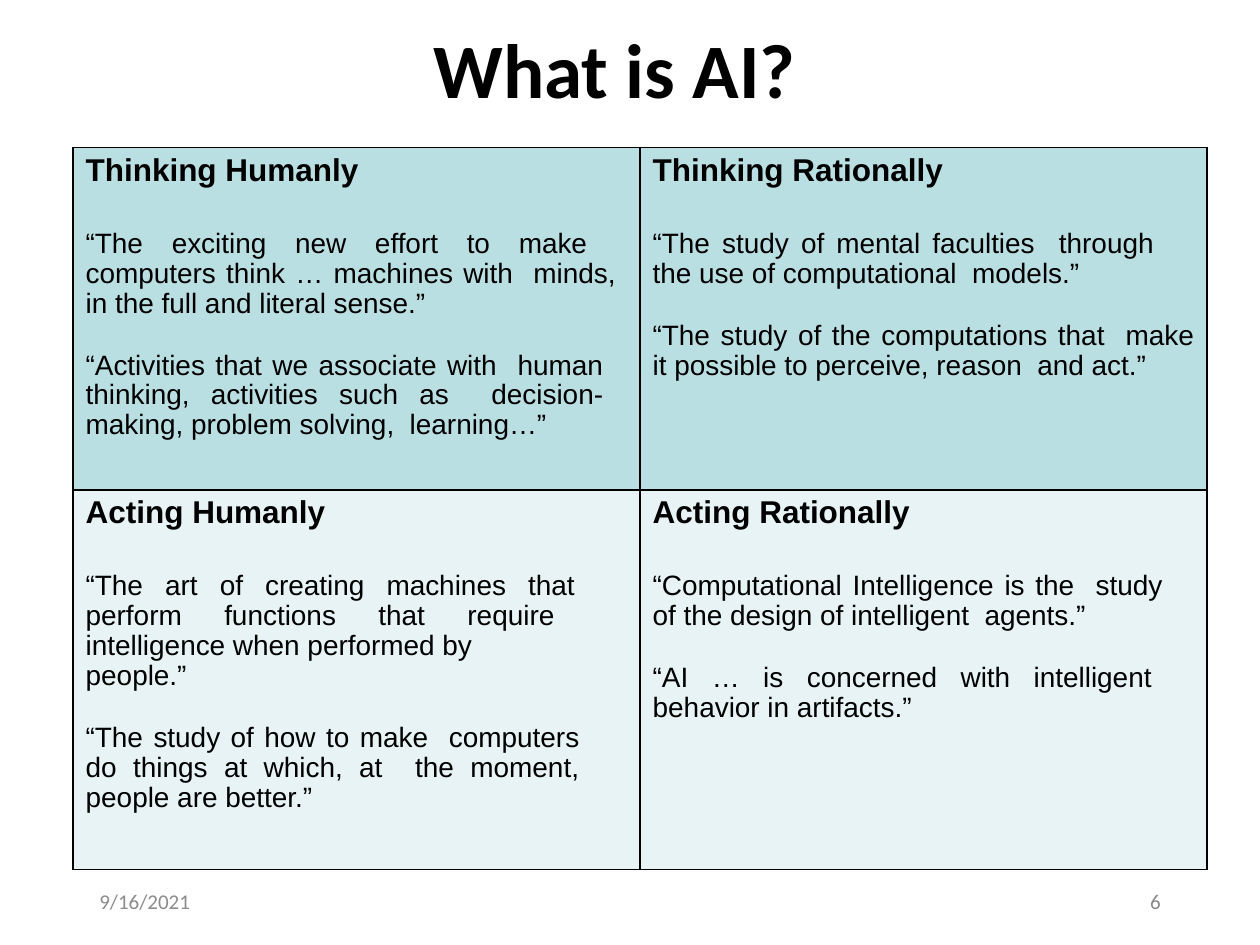
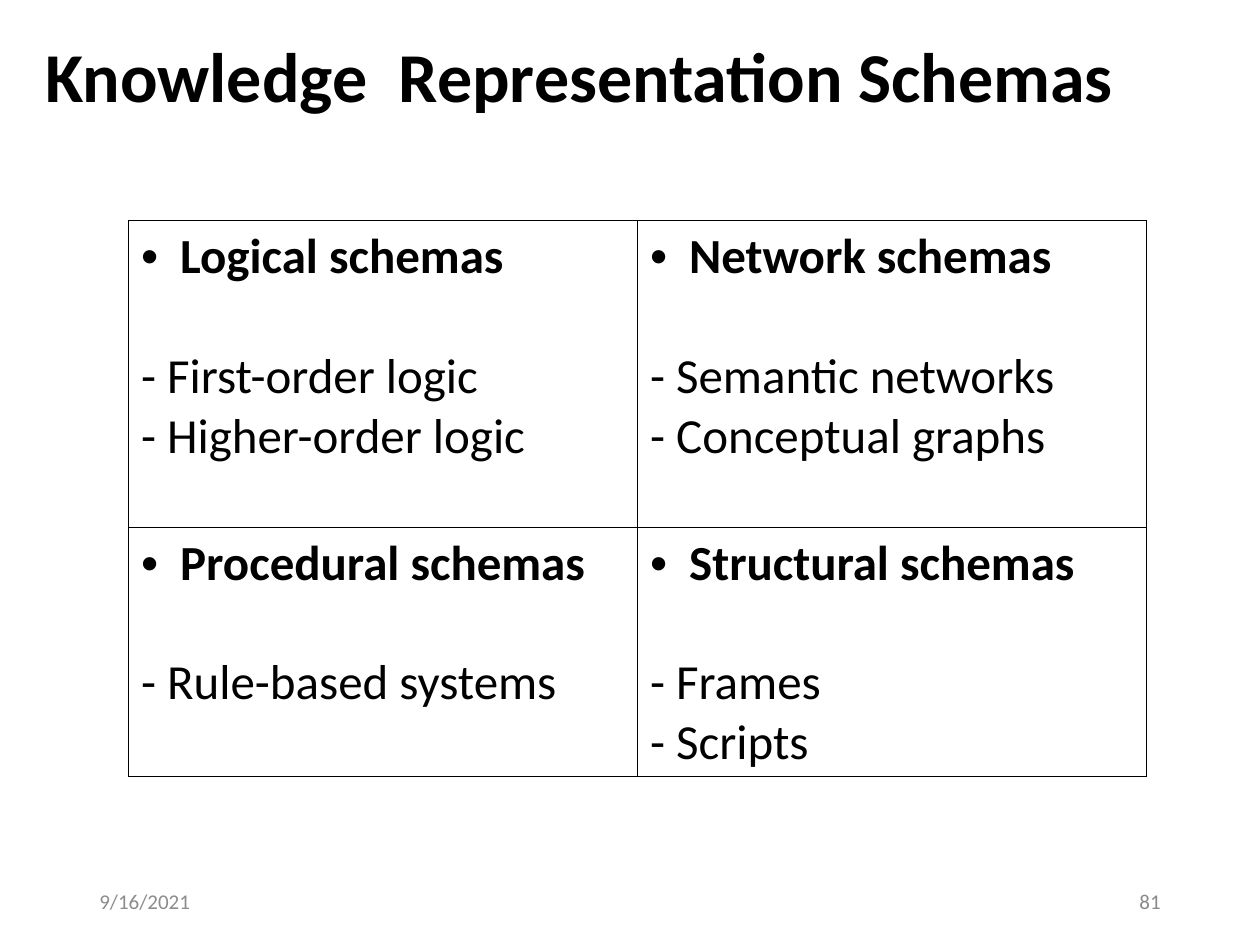
from dataclasses import dataclass
from typing import NamedTuple

from lxml import etree
from pptx import Presentation
from pptx.dml.color import RGBColor
from pptx.enum.text import MSO_ANCHOR, PP_ALIGN
from pptx.oxml.ns import qn
from pptx.util import Inches, Pt

LEFT, RIGHT, JUSTIFY = PP_ALIGN.LEFT, PP_ALIGN.RIGHT, PP_ALIGN.JUSTIFY
TOP, MIDDLE = MSO_ANCHOR.TOP, MSO_ANCHOR.MIDDLE

# The slide is a grid of 100 columns by 75 square rows
COLS, ROWS = 100, 75
WIDTH = Inches(10)
UNIT = WIDTH // COLS

BLACK, DATE_GREY, NUMBER_GREY = "000000", "8C8C8C", "898989"
THINKING_FILL, ACTING_FILL = "BADFE2", "E7F3F4"
BODY_FONT, DECK_FONT = "Arial", "Calibri"
DATE = "9/16/2021"


class Box(NamedTuple):
    x: float
    y: float
    w: float
    h: float


class Margins(NamedTuple):
    left: float = 1
    top: float = 0.5
    right: float = 1
    bottom: float = 0.5


class Quote(NamedTuple):
    text: str
    right: float  # right indent in columns
    before: float = 18.4


@dataclass
class Cell:
    heading: str
    body: list
    fill: str | None = None


DATE_BOX = Box(6.9, 69.5, 22.5, 4)
NUMBER_BOX = Box(70.6, 69.5, 22.5, 4)
TITLE_MARGINS = Margins(0, 0.1, 0, 0)
QUOTE_MARGINS = Margins(0, 0.4, 0, 0)
AFTER_HEADING = 23.8

APPROACHES = [
    [
        Cell("Thinking Humanly", [
            Quote("“The exciting new effort to make  computers think … machines with  minds, "
                  "in the full and literal sense.”", 1.9, AFTER_HEADING),
            Quote("“Activities that we associate with  human thinking, activities such as  "
                  "decision-making, problem solving,  learning…”", 2.9),
        ], THINKING_FILL),
        Cell("Thinking Rationally", [
            Quote("“The study of mental faculties  through the use of computational  models.”",
                  4.2, AFTER_HEADING),
            Quote("“The study of the computations that  make it possible to perceive, reason  "
                  "and act.”", 1),
        ], THINKING_FILL),
    ],
    [
        Cell("Acting Humanly", [
            Quote("“The art of creating machines that  perform functions that require  "
                  "intelligence when performed by", 3.4, AFTER_HEADING),
            Quote("people.”", 3.4, 0.1),
            Quote("“The study of how to make  computers do things at which, at  the moment, "
                  "people are better.”", 4.8),
        ], ACTING_FILL),
        Cell("Acting Rationally", [
            Quote("“Computational Intelligence is the  study of the design of intelligent  "
                  "agents.”", 3.5, AFTER_HEADING),
            Quote("“AI … is concerned with intelligent  behavior in artifacts.”", 2.5),
        ], ACTING_FILL),
    ],
]

SCHEMAS = [
    [
        Cell("Logical schemas", ["- First-order logic", "- Higher-order logic"]),
        Cell("Network schemas", ["- Semantic networks", "- Conceptual graphs"]),
    ],
    [
        Cell("Procedural schemas", ["- Rule-based systems"]),
        Cell("Structural schemas", ["- Frames", "- Scripts"]),
    ],
]


def units(n: float) -> int:
    return round(n * UNIT)


def rgb(value: str) -> RGBColor:
    return RGBColor.from_string(value)


def add_text(tf, text: str, *, size: float, font: str = DECK_FONT, color: str = BLACK,
             bold: bool = False, align=LEFT, before: float = 0, spacing: float = 1,
             left: float = 0, right: float = 0, hang: float = 0, bullet: str = "") -> None:
    """Write one paragraph, using the frame's first paragraph while it is empty."""
    p = tf.paragraphs[0]
    if p.runs:
        p = tf.add_paragraph()
    p.alignment, p.space_before, p.line_spacing = align, Pt(before), spacing
    r = p.add_run()
    r.text = text
    f = r.font
    f.size, f.name, f.bold = Pt(size), font, bold
    f.color.rgb = rgb(color)
    # Indents and bullet
    pPr = p._p.get_or_add_pPr()
    for key, value in (("marL", left), ("marR", right), ("indent", -hang)):
        pPr.set(key, str(units(value)))
    if bullet:
        etree.SubElement(pPr, qn("a:buFont"), typeface="Arial")
        etree.SubElement(pPr, qn("a:buChar"), char=bullet)


def set_margins(target, m: Margins) -> None:
    target.margin_left, target.margin_top = units(m.left), units(m.top)
    target.margin_right, target.margin_bottom = units(m.right), units(m.bottom)


def add_box(s, box: Box, text: str, margins: Margins = Margins(), anchor=TOP, **style) -> None:
    tf = s.shapes.add_textbox(*map(units, box)).text_frame
    tf.word_wrap, tf.vertical_anchor = True, anchor
    set_margins(tf, margins)
    add_text(tf, text, **style)


def add_slide(prs, title: str, title_box: Box, title_size: float, title_left: float, number: int):
    """Add a slide with its title, date and number."""
    s = prs.slides.add_slide(prs.slide_layouts[6])
    add_box(s, title_box, title, TITLE_MARGINS, size=title_size, bold=True,
            before=1, left=title_left)
    add_box(s, DATE_BOX, DATE, anchor=MIDDLE, size=12, color=DATE_GREY)
    add_box(s, NUMBER_BOX, str(number), anchor=MIDDLE, size=12, color=NUMBER_GREY, align=RIGHT)
    return s


def set_borders(cell) -> None:
    tcPr = cell._tc.get_or_add_tcPr()
    for side in ("lnL", "lnR", "lnT", "lnB"):
        ln = etree.SubElement(tcPr, qn(f"a:{side}"), w=str(Pt(1)))
        fill = etree.SubElement(ln, qn("a:solidFill"))
        etree.SubElement(fill, qn("a:srgbClr"), val=BLACK)


def add_grid(s, box: Box, heights: list[float], cells: list[list[Cell]], margins: Margins, write) -> None:
    """Draw a bordered table of equal columns; write fills each cell's text."""
    table = s.shapes.add_table(len(cells), len(cells[0]), *map(units, box)).table
    table.first_row = table.horz_banding = False
    for row, height in zip(table.rows, heights):
        row.height = units(height)
    for i, row_cells in enumerate(cells):
        for j, content in enumerate(row_cells):
            cell = table.cell(i, j)
            set_margins(cell, margins)
            set_borders(cell)
            if content.fill:
                cell.fill.solid()
                cell.fill.fore_color.rgb = rgb(content.fill)
            else:
                cell.fill.background()
            write(cell.text_frame, content)


def write_quotes(tf, content: Cell) -> None:
    add_text(tf, content.heading, size=18, font=BODY_FONT, bold=True, before=3.1, left=1)
    for quote in content.body:
        add_text(tf, quote.text, size=16, font=BODY_FONT, align=JUSTIFY, before=quote.before,
                 spacing=0.96, left=1, right=quote.right)


def write_schemas(tf, content: Cell) -> None:
    add_text(tf, content.heading, size=28, bold=True, left=3.1, hang=3.1, bullet="•")
    for i, item in enumerate(content.body):
        add_text(tf, item, size=28, before=0 if i else 34.2)


def main() -> None:
    prs = Presentation()
    prs.slide_width, prs.slide_height = WIDTH, UNIT * ROWS

    # Four approaches to AI
    s = add_slide(prs, "What is AI?", Box(34.3, 1.6, 31.2, 7.6), 44, 0.1, 6)
    add_grid(s, Box(5.8, 11.7, 90, 57.3), [27.2, 30.1], APPROACHES, QUOTE_MARGINS, write_quotes)

    # Four families of schemas
    s = add_slide(prs, "Knowledge  Representation Schemas", Box(3.1, 2.5, 87.5, 6.9), 40, 0.5, 81)
    add_grid(s, Box(10.2, 17.5, 80.8, 44), [24.35, 19.7], SCHEMAS, Margins(), write_schemas)

    prs.save("out.pptx")


if __name__ == "__main__":
    main()
